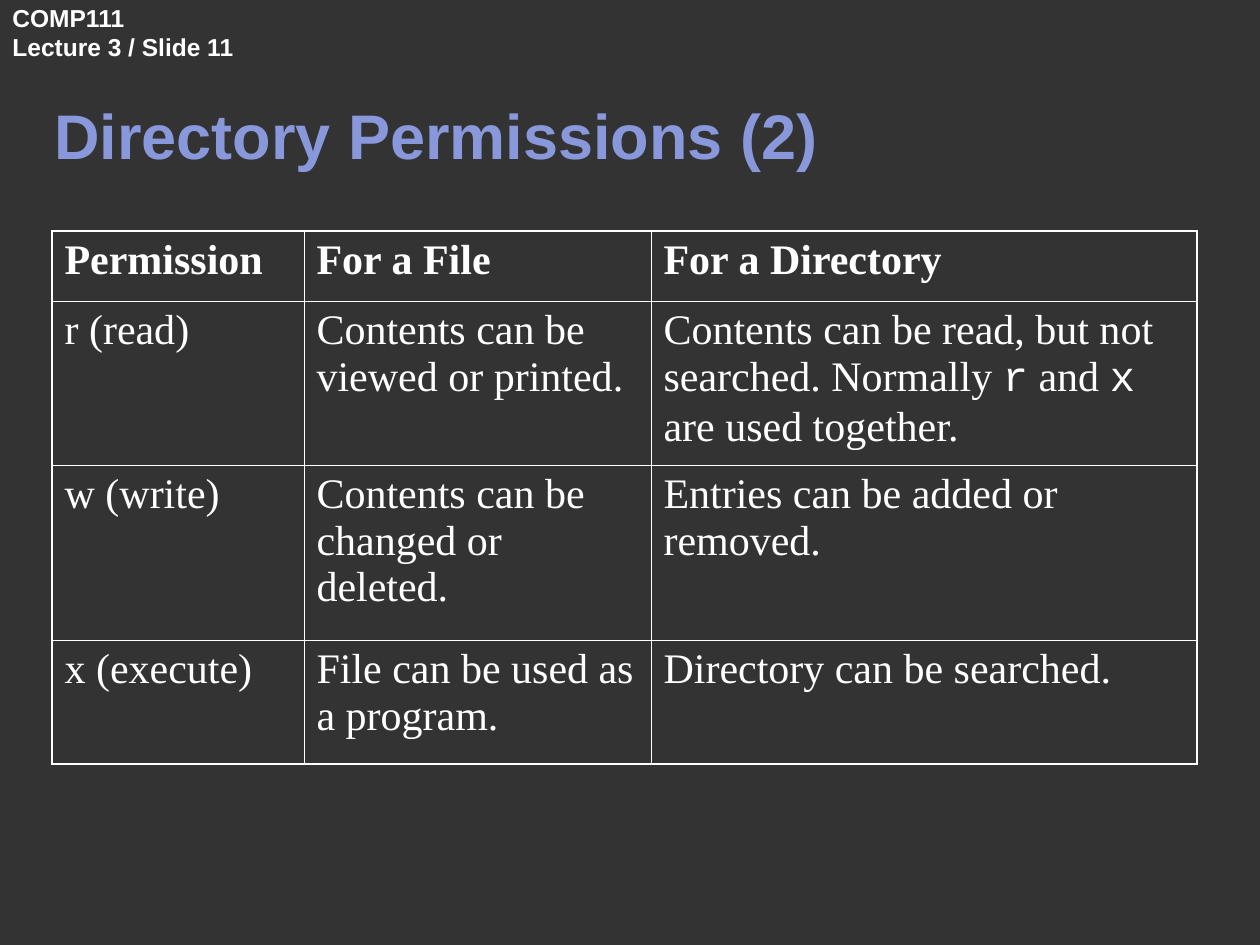
from dataclasses import dataclass

from lxml.etree import SubElement
from pptx import Presentation
from pptx.dml.color import RGBColor
from pptx.enum.text import MSO_ANCHOR
from pptx.oxml.ns import qn
from pptx.util import Pt

PX = 914400 / 126


@dataclass(frozen=True)
class Theme:
    background: str = "333333"
    text: str = "FFFFFF"
    title: str = "8898DA"
    sans: str = "Arial"
    serif: str = "Times New Roman"
    mono: str = "Courier New"
    header_size: int = 14
    title_size: int = 36
    table_size: int = 24
    outer_line: float = 1.08
    inner_line: float = 0.45


theme = Theme()


def px(length):
    return round(length * PX)


def add_span(para, text, font, size, color, bold):
    span = para.add_run()
    span.text = text
    span.font.name = font
    span.font.size = Pt(size)
    span.font.bold = bold
    span.font.color.rgb = RGBColor.from_string(color)


deck = Presentation()
deck.slide_width, deck.slide_height = px(1260), px(945)
page = deck.slides.add_slide(deck.slide_layouts[6])
page.background.fill.solid()
page.background.fill.fore_color.rgb = RGBColor.from_string(theme.background)

# Course header and title
headings = [
    ((0, 0, 260, 64), ["COMP111", "Lecture 3 / Slide 11"],
     theme.header_size, theme.text, MSO_ANCHOR.MIDDLE, 0),
    ((42, 31, 1029, 147), ["Directory Permissions (2)"],
     theme.title_size, theme.title, MSO_ANCHOR.BOTTOM, 6),
]
for place, lines, size, color, anchor, margin in headings:
    box = page.shapes.add_textbox(*[px(length) for length in place])
    frame = box.text_frame
    frame.word_wrap = True
    frame.vertical_anchor = anchor
    frame.margin_top = frame.margin_bottom = px(margin)
    for index, line in enumerate(lines):
        para = frame.add_paragraph() if index else frame.paragraphs[0]
        add_span(para, line, theme.sans, size, color, True)

# Permission table: each cell is a list of spans, odd ones are code
rows = [
    [["Permission"], ["For a File"], ["For a Directory"]],
    [["r (read)"], ["Contents can be viewed or printed."],
     ["Contents can be read, but not searched. Normally ", "r", " and ", "x",
      " are used together."]],
    [["w (write)"], ["Contents can be changed or deleted."],
     ["Entries can be added or removed."]],
    [["x (execute)"], ["File can be used as a program."],
     ["Directory can be searched."]],
]
widths = [252, 347, 546]
heights = [70, 164, 175, 124]
table = page.shapes.add_table(
    len(rows), len(widths), px(52), px(231), px(sum(widths)), px(sum(heights))).table
table.first_row = False
table.horz_banding = False
for column, width in zip(table.columns, widths):
    column.width = px(width)
for row, height in zip(table.rows, heights):
    row.height = px(height)

last_row, last_column = len(rows) - 1, len(widths) - 1
for r, cells in enumerate(rows):
    for c, texts in enumerate(cells):
        cell = table.cell(r, c)
        para = cell.text_frame.paragraphs[0]
        for index, text in enumerate(texts):
            font = theme.mono if index % 2 else theme.serif
            add_span(para, text, font, theme.table_size, theme.text, r == 0)

        # Heavier lines on the outer edge; borders come before the fill
        outer = {"a:lnL": c == 0, "a:lnR": c == last_column,
                 "a:lnT": r == 0, "a:lnB": r == last_row}
        properties = cell._tc.get_or_add_tcPr()
        for tag, is_outer in outer.items():
            weight = theme.outer_line if is_outer else theme.inner_line
            border = SubElement(properties, qn(tag), w=str(Pt(weight)))
            fill = SubElement(border, qn("a:solidFill"))
            SubElement(fill, qn("a:srgbClr"), val=theme.text)
        cell.fill.background()

deck.save("out.pptx")
